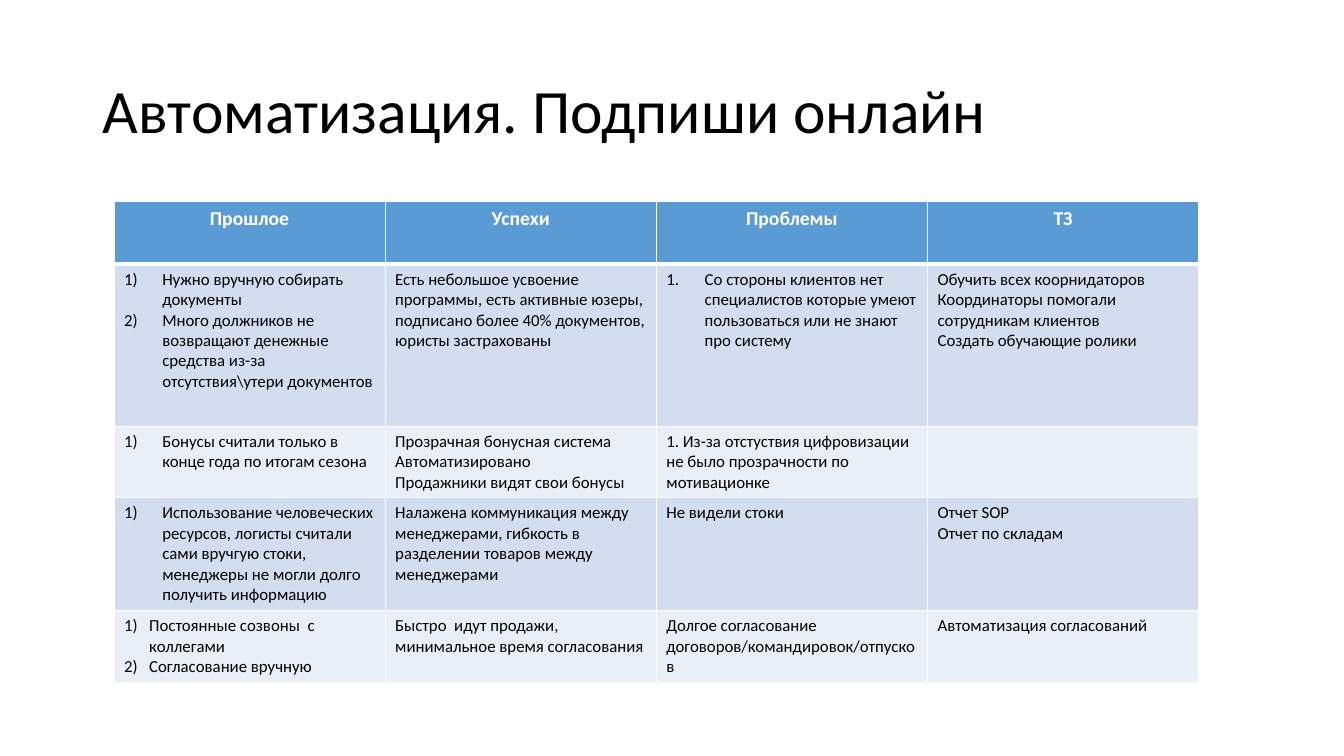
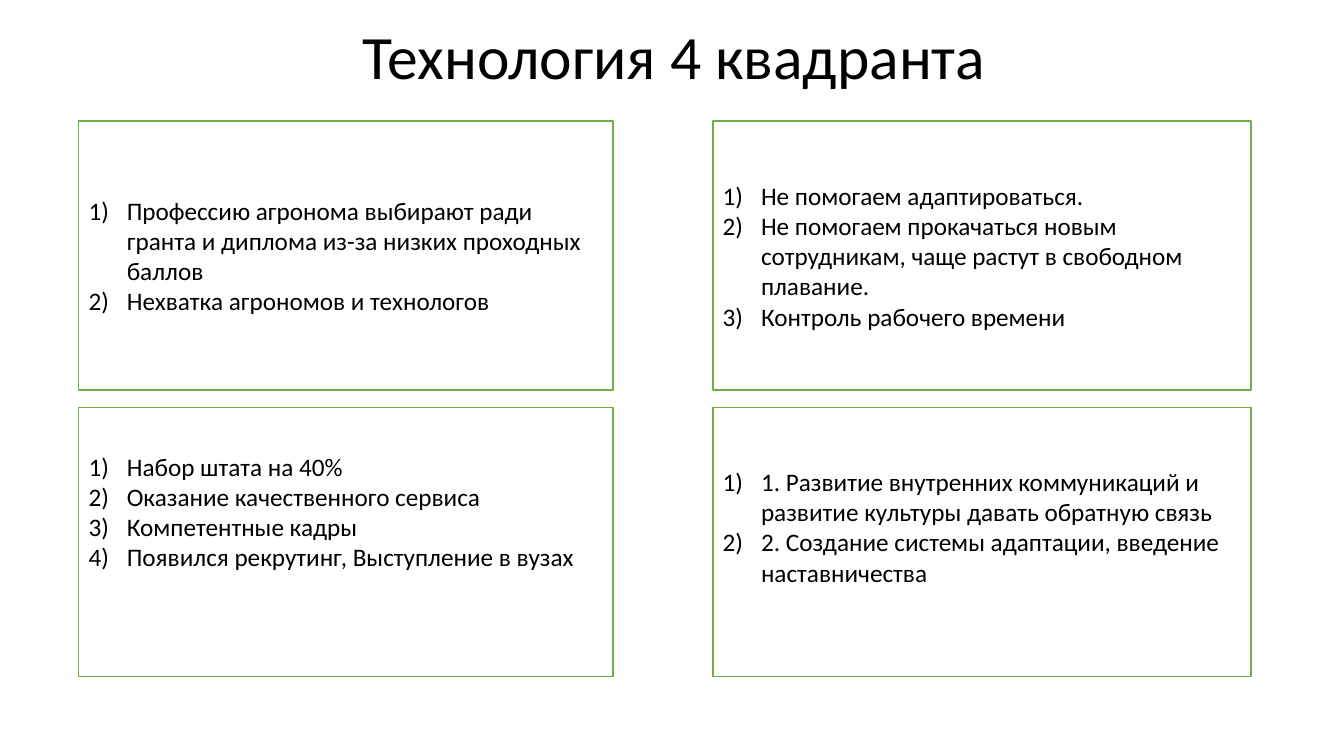
from dataclasses import dataclass

from lxml.etree import SubElement
from pptx import Presentation
from pptx.dml.color import RGBColor
from pptx.enum.shapes import MSO_SHAPE as Shape
from pptx.enum.text import MSO_ANCHOR as Anchor, MSO_AUTO_SIZE as AutoSize, PP_ALIGN as Align
from pptx.oxml.ns import qn
from pptx.util import Inches, Pt


@dataclass(frozen=True)
class Theme:
    font: str = "Calibri"
    ink: str = "000000"
    paper: str = "FFFFFF"
    header: str = "5B9BD5"
    bands: tuple = ("D2DEEF", "EAEFF7")
    frame: str = "70AD47"
    title_size: int = 44
    header_size: int = 14
    cell_size: int = 12
    box_size: int = 18


THEME = Theme()


@dataclass(frozen=True)
class Numbered:
    items: tuple
    style: str = "arabicParenR"
    indent: float = 0.38


# Content: plain tuples are paragraphs, Numbered is a numbered list
TABLE_TITLE = "Автоматизация. Подпиши онлайн"
HEADERS = ("Прошлое", "Успехи", "Проблемы", "ТЗ")
ROWS = [
    (
        Numbered(("Нужно вручную собирать документы",
                  "Много должников не возвращают денежные средства из-за отсутствия\\утери документов")),
        ("Есть небольшое усвоение программы, есть активные юзеры, "
         "подписано более 40% документов, юристы застрахованы",),
        Numbered(("Со стороны клиентов нет специалистов которые умеют "
                  "пользоваться или не знают про систему",), "arabicPeriod"),
        ("Обучить всех коорнидаторов", "Координаторы помогали сотрудникам клиентов",
         "Создать обучающие ролики"),
    ),
    (
        Numbered(("Бонусы считали только в конце года по итогам сезона",)),
        ("Прозрачная бонусная система", "Автоматизировано", "Продажники видят свои бонусы"),
        ("1. Из-за отстуствия цифровизации не было прозрачности по мотивационке",),
        (),
    ),
    (
        Numbered(("Использование человеческих ресурсов, логисты считали сами вручгую стоки, "
                  "менеджеры не могли долго получить информацию",)),
        ("Налажена коммуникация между менеджерами, гибкость в разделении товаров между менеджерами",),
        ("Не видели стоки",),
        ("Отчет SOP", "Отчет по складам"),
    ),
    (
        Numbered(("Постоянные созвоны  с коллегами", "Согласование вручную"), indent=0.25),
        ("Быстро  идут продажи, минимальное время согласования",),
        ("Долгое согласование договоров/командировок/отпусков",),
        ("Автоматизация согласований",),
    ),
]

QUADRANT_TITLE = "Технология 4 квадранта"
# Each quadrant: its list and the number of lines by which the text is raised
QUADRANTS = [
    [
        (Numbered(("Профессию агронома выбирают ради гранта и диплома из-за низких проходных баллов",
                   "Нехватка агрономов и технологов")), 0),
        (Numbered(("Не помогаем адаптироваться.",
                   "Не помогаем прокачаться новым сотрудникам, чаще растут в свободном плавание.",
                   "Контроль рабочего времени")), 0),
    ],
    [
        (Numbered(("Набор штата на 40%", "Оказание качественного сервиса", "Компетентные кадры",
                   "Появился рекрутинг, Выступление в вузах")), 2),
        (Numbered(("1. Развитие внутренних коммуникаций и развитие культуры давать обратную связь",
                   "2. Создание системы адаптации, введение наставничества")), 1),
    ],
]

# Geometry, in inches
SLIDE_SIZE = (13.33, 7.5)
TABLE_ORIGIN = (1.13, 2)
COLUMN_WIDTH = 2.69
ROW_HEIGHTS = (0.62, 1.61, 0.7, 1.12, 0.7)
QUADRANT_COLUMNS = ((0.78, 5.3), (7.07, 5.34))
QUADRANT_TOP, QUADRANT_HEIGHT, QUADRANT_GAP = 1.2, 2.67, 0.17
INSET, LINE_HEIGHT = 0.05, 0.3


def color(value):
    return RGBColor.from_string(value)


def add_span(para, text, size, ink=THEME.ink, bold=False):
    span = para.add_run()
    span.text = text
    span.font.name = THEME.font
    span.font.size = Pt(size)
    span.font.bold = bold
    span.font.color.rgb = color(ink)


def number_para(para, style, indent):
    props = para._p.get_or_add_pPr()
    props.set("marL", str(Inches(indent)))
    props.set("indent", str(-Inches(indent)))
    SubElement(props, qn("a:buFont"), typeface="+mj-lt")
    SubElement(props, qn("a:buAutoNum"), type=style)


def fill_text(frame, content, size):
    numbered = isinstance(content, Numbered)
    for index, text in enumerate(content.items if numbered else content):
        para = frame.add_paragraph() if index else frame.paragraphs[0]
        para.alignment = Align.LEFT
        if numbered:
            number_para(para, content.style, content.indent)
        add_span(para, text, size)


def add_page(deck, title, area, align):
    page = deck.slides.add_slide(deck.slide_layouts[5])
    box = page.shapes.title
    box.left, box.top, box.width, box.height = map(Inches, area)
    frame = box.text_frame
    frame.auto_size = AutoSize.NONE
    frame.word_wrap = True
    frame.vertical_anchor = Anchor.MIDDLE
    para = frame.paragraphs[0]
    para.alignment = align
    para.line_spacing = 0.9
    add_span(para, title, THEME.title_size)
    return page


def paint_cell(cell, fill, top=1, bottom=1):
    """Borders go in before the fill, as the schema orders them."""
    props = cell._tc.get_or_add_tcPr()
    for side, width in (("L", 1), ("R", 1), ("T", top), ("B", bottom)):
        line = SubElement(props, qn(f"a:ln{side}"), w=str(Pt(width)))
        SubElement(SubElement(line, qn("a:solidFill")), qn("a:srgbClr"), val=THEME.paper)
    cell.fill.solid()
    cell.fill.fore_color.rgb = color(fill)


def add_progress_table(page):
    size = (COLUMN_WIDTH * len(HEADERS), sum(ROW_HEIGHTS))
    table = page.shapes.add_table(len(ROW_HEIGHTS), len(HEADERS),
                                  *map(Inches, TABLE_ORIGIN + size)).table
    for column in table.columns:
        column.width = Inches(COLUMN_WIDTH)
    for row, height in zip(table.rows, ROW_HEIGHTS):
        row.height = Inches(height)

    # Header row
    for index, heading in enumerate(HEADERS):
        cell = table.cell(0, index)
        paint_cell(cell, THEME.header, bottom=3)
        para = cell.text_frame.paragraphs[0]
        para.alignment = Align.CENTER
        add_span(para, heading, THEME.header_size, THEME.paper, bold=True)

    # Banded body rows
    for number, contents in enumerate(ROWS, 1):
        band = THEME.bands[(number - 1) % len(THEME.bands)]
        for index, content in enumerate(contents):
            cell = table.cell(number, index)
            paint_cell(cell, band, top=3 if number == 1 else 1)
            fill_text(cell.text_frame, content, THEME.cell_size)


def add_quadrant(page, area, content, raised_lines):
    box = page.shapes.add_shape(Shape.RECTANGLE, *map(Inches, area))
    box.shadow.inherit = False
    box.fill.solid()
    box.fill.fore_color.rgb = color(THEME.paper)
    box.line.color.rgb = color(THEME.frame)
    box.line.width = Pt(1)
    frame = box.text_frame
    frame.word_wrap = True
    frame.vertical_anchor = Anchor.MIDDLE
    frame.margin_bottom = Inches(INSET + raised_lines * LINE_HEIGHT)
    fill_text(frame, content, THEME.box_size)


def main():
    deck = Presentation()
    deck.slide_width, deck.slide_height = map(Inches, SLIDE_SIZE)

    # Automation table
    page = add_page(deck, TABLE_TITLE, (0.92, 0.4, 11.5, 1.45), Align.LEFT)
    add_progress_table(page)

    # Four quadrants
    page = add_page(deck, QUADRANT_TITLE, (0.96, 0.15, 11.46, 0.88), Align.CENTER)
    for row, pair in enumerate(QUADRANTS):
        top = QUADRANT_TOP + row * (QUADRANT_HEIGHT + QUADRANT_GAP)
        for (left, width), (content, raised_lines) in zip(QUADRANT_COLUMNS, pair):
            add_quadrant(page, (left, top, width, QUADRANT_HEIGHT), content, raised_lines)

    deck.save("out.pptx")


if __name__ == "__main__":
    main()
